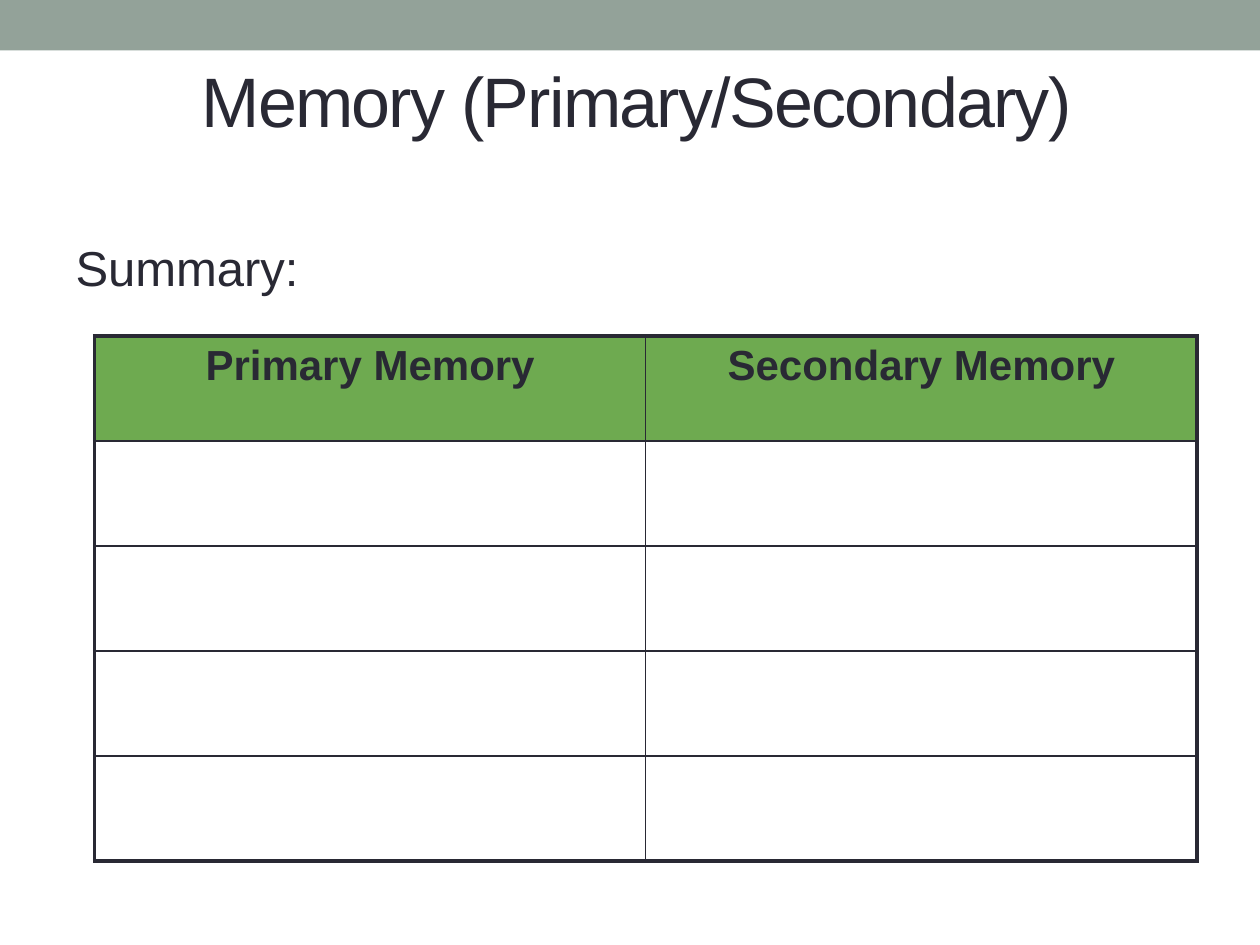
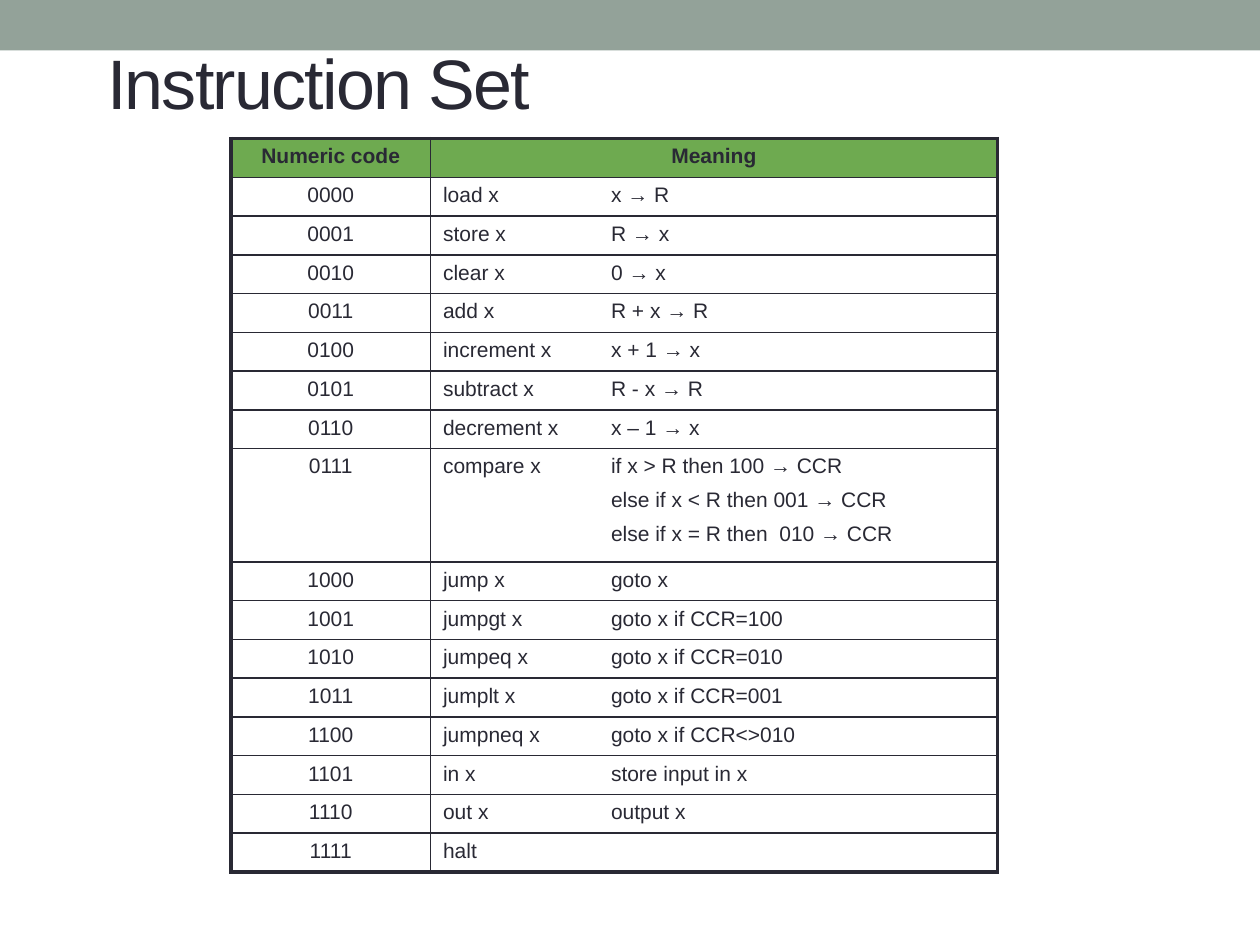
from lxml import etree
from pptx import Presentation
from pptx.dml.color import RGBColor
from pptx.enum.shapes import MSO_SHAPE
from pptx.enum.text import MSO_ANCHOR, MSO_AUTO_SIZE, PP_ALIGN
from pptx.oxml.ns import qn
from pptx.util import Inches, Pt

RECTANGLE = MSO_SHAPE.RECTANGLE
TOP, MIDDLE = MSO_ANCHOR.TOP, MSO_ANCHOR.MIDDLE
LEFT, CENTER = PP_ALIGN.LEFT, PP_ALIGN.CENTER
NO_AUTOFIT = MSO_AUTO_SIZE.NONE

COLUMNS, ROWS = 120, 90  # grid of the slide
SLIDE_WIDTH, SLIDE_HEIGHT = Inches(10), Inches(7.5)
FONT = "Arial"
INK, BAND, HEADER = "292934", "93A299", "6EAA50"
OUTER, INNER = 2.25, 1
TITLE_AND_BODY, TITLE_ONLY = 1, 5

MEMORY_KINDS = ["Primary Memory", "Secondary Memory"]
EMPTY_ROWS = 4
INSTRUCTIONS = [
    ("load x", "x → R"),
    ("store x", "R → x"),
    ("clear x", "0 → x"),
    ("add x", "R + x → R"),
    ("increment x", "x + 1 → x"),
    ("subtract x", "R - x → R"),
    ("decrement x", "x – 1 → x"),
    ("compare x", "if x > R then 100 → CCR\n"
                  "else if x < R then 001 → CCR\n"
                  "else if x = R then  010 → CCR"),
    ("jump x", "goto x"),
    ("jumpgt x", "goto x if CCR=100"),
    ("jumpeq x", "goto x if CCR=010"),
    ("jumplt x", "goto x if CCR=001"),
    ("jumpneq x", "goto x if CCR<>010"),
    ("in x", "store input in x"),
    ("out x", "output x"),
    ("halt", ""),
]


def color(hex_code):
    return RGBColor.from_string(hex_code)


def across(columns):
    return round(SLIDE_WIDTH * columns / COLUMNS)


def down(rows):
    return round(SLIDE_HEIGHT * rows / ROWS)


def grid_box(left, top, width, height):
    return across(left), down(top), across(width), down(height)


def style_text(frame, size, bold=False, align=LEFT):
    """Format every run; paragraphs after the first get half a line of space."""
    for index, paragraph in enumerate(frame.paragraphs):
        paragraph.alignment = align
        if index:
            paragraph.space_before = Pt(size / 2)
        for run in paragraph.runs:
            run.font.name, run.font.size, run.font.bold = FONT, Pt(size), bold
            run.font.color.rgb = color(INK)
        if not paragraph.runs:
            end = etree.SubElement(paragraph._p, qn("a:endParaRPr"))
            end.set("sz", str(size * 100))


def fill_placeholder(holder, box, text, size, anchor):
    holder.left, holder.top, holder.width, holder.height = grid_box(*box)
    frame = holder.text_frame
    frame.text = text
    frame.word_wrap = True
    frame.auto_size = NO_AUTOFIT
    frame.vertical_anchor = anchor
    style_text(frame, size)
    return frame.paragraphs[0]


def add_title(slide, box, text):
    paragraph = fill_placeholder(slide.shapes.title, box, text, 40, MIDDLE)
    paragraph.runs[0].font._element.set("spc", "-100")


def add_lead(slide, box, text):
    """Unbulleted body line with a hanging indent."""
    paragraph = fill_placeholder(slide.placeholders[1], box, text, 28, TOP)
    paragraph.space_before = Pt(3.6)
    properties = paragraph._p.get_or_add_pPr()
    properties.set("marL", str(across(8)))
    properties.set("indent", str(-across(8)))
    etree.SubElement(properties, qn("a:buNone"))


def set_borders(cell, widths):
    """Draw the borders named in widths (L, R, T, B); a width of 0 hides one."""
    properties = cell._tc.get_or_add_tcPr()
    for side, width in widths.items():
        line = etree.SubElement(properties, qn(f"a:ln{side}"), w=str(Pt(width)))
        if width:
            solid = etree.SubElement(line, qn("a:solidFill"))
            etree.SubElement(solid, qn("a:srgbClr"), val=INK)
        else:
            etree.SubElement(line, qn("a:noFill"))


def add_framed_table(slide, left, top, widths, heights, contents, size,
                     centered, merge_header=None, open_edge=None):
    """Table with a heavy frame and a green header.

    centered holds the body columns set in the middle, merge_header the first
    and last header column to join, open_edge the column with no line before it.
    """
    box = grid_box(left, top, sum(widths), sum(heights))
    table = slide.shapes.add_table(len(heights), len(widths), *box).table
    table.first_row = table.horz_banding = False
    for column, width in zip(table.columns, widths):
        column.width = across(width)
    for row, height in zip(table.rows, heights):
        row.height = down(height)
    if merge_header:
        first, last = merge_header
        table.cell(0, first).merge(table.cell(0, last))

    last_row, last_column = len(heights) - 1, len(widths) - 1
    for r, texts in enumerate(contents):
        for c, text in enumerate(texts):
            cell = table.cell(r, c)
            right_column = c + cell.span_width - 1 if cell.is_merge_origin else c

            def edge(column):
                if column in (0, last_column + 1):
                    return OUTER
                return 0 if column == open_edge else INNER

            set_borders(cell, {
                "L": edge(c),
                "R": edge(right_column + 1),
                "T": INNER if r else OUTER,
                "B": INNER if r < last_row else OUTER,
            })
            if r:
                cell.fill.background()
            else:
                cell.fill.solid()
                cell.fill.fore_color.rgb = color(HEADER)
            cell.text_frame.text = text
            middle = r == 0 or c in centered
            style_text(cell.text_frame, size, r == 0, CENTER if middle else LEFT)


def move_band_to_master(prs, slide):
    """Build the top band once and let every slide inherit it."""
    band = slide.shapes.add_shape(RECTANGLE, *grid_box(0, 0, COLUMNS, 4.8))
    band.shadow.inherit = False
    band.fill.solid()
    band.fill.fore_color.rgb = color(BAND)
    band.line.fill.background()
    band.element.nvSpPr.cNvPr.set("id", "20")
    prs.slide_master.shapes.element.insert(2, band.element)


def add_memory_slide(prs):
    slide = prs.slides.add_slide(prs.slide_layouts[TITLE_AND_BODY])
    add_title(slide, (18, 2, 99, 15), "Memory (Primary/Secondary)")
    add_lead(slide, (6, 22, 111, 9), "Summary:")
    contents = [MEMORY_KINDS] + [["", ""]] * EMPTY_ROWS
    add_framed_table(slide, 9, 32, [52.5] * 2, [10] * len(contents), contents,
                     size=24, centered=())
    return slide


def add_instruction_slide(prs):
    slide = prs.slides.add_slide(prs.slide_layouts[TITLE_ONLY])
    add_title(slide, (9, 0.25, 99, 15), "Instruction Set")
    contents = [("Numeric code", "Meaning", "")]
    contents += [(f"{code:04b}", *entry) for code, entry in enumerate(INSTRUCTIONS)]
    heights = [10.8 if "\n" in meaning else 3.69 for _, _, meaning in contents]
    add_framed_table(slide, 22, 13.2, [19, 16, 38], heights, contents, size=12,
                     centered=(0,), merge_header=(1, 2), open_edge=2)


def main():
    prs = Presentation()
    prs.slide_width, prs.slide_height = SLIDE_WIDTH, SLIDE_HEIGHT
    memory_slide = add_memory_slide(prs)
    move_band_to_master(prs, memory_slide)
    add_instruction_slide(prs)
    prs.save("out.pptx")


if __name__ == "__main__":
    main()
